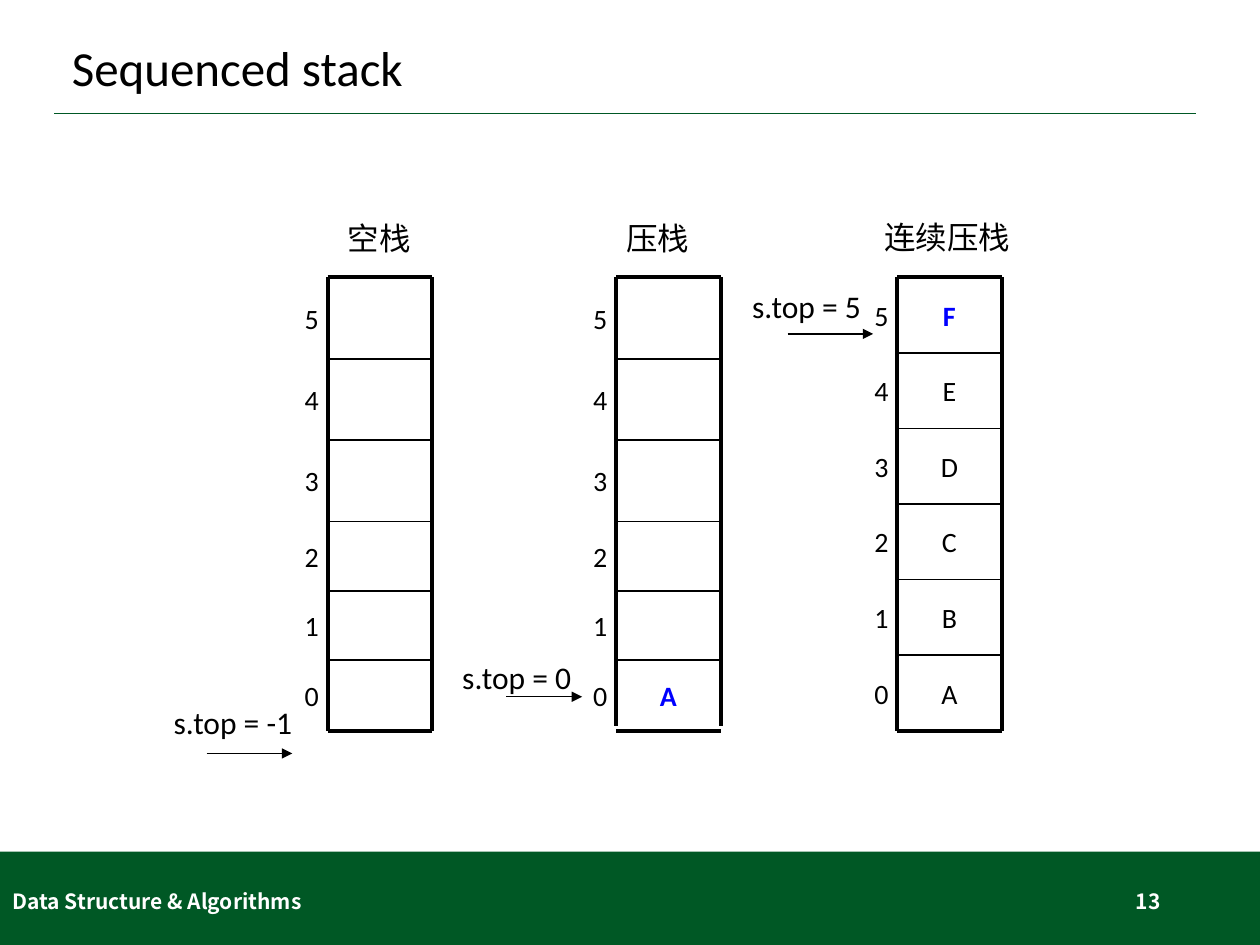
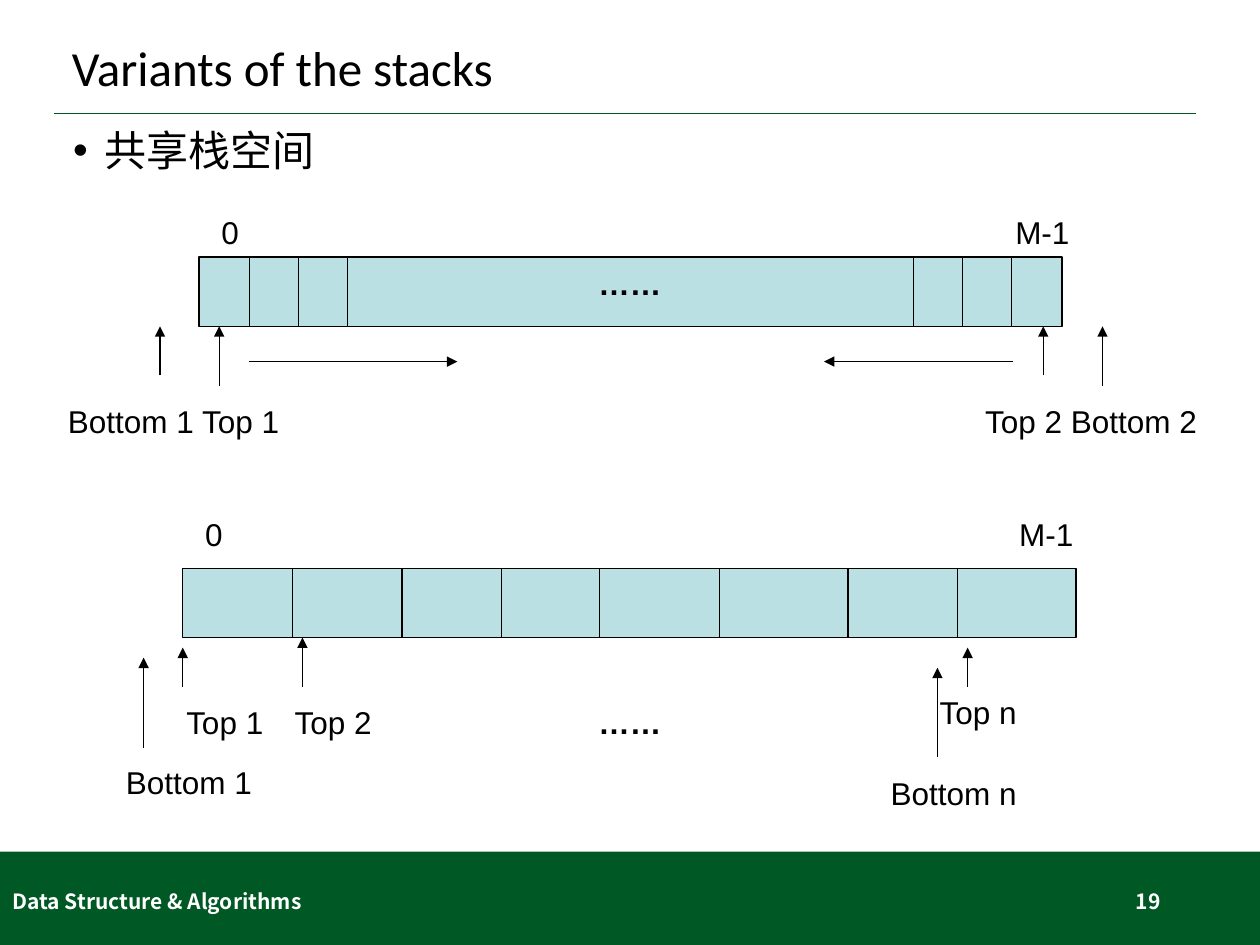
from dataclasses import dataclass
from itertools import pairwise

from lxml import etree
from pptx import Presentation
from pptx.dml.color import RGBColor
from pptx.enum import shapes, text
from pptx.oxml import ns
from pptx.util import Inches, Pt


@dataclass(frozen=True)
class Theme:
    green: str = "005825"
    cell: str = "BBE0E3"
    ink: str = "000000"
    white: str = "FFFFFF"
    pushed: str = "0000FF"
    main_font: str = "Calibri"
    array_font: str = "Arial"
    cjk_font: str = "Noto Sans CJK SC"
    title_size: float = 28
    body_size: float = 24
    label_size: float = 18
    cell_size: float = 16
    footer_size: float = 12
    wall: float = 2.25
    rule: float = 1
    thin: float = 0.75


THEME = Theme()
TITLE_ONLY, TITLE_AND_BODY = 5, 1


# Shared helpers
def add_child(parent, tag, **attributes):
    return etree.SubElement(parent, ns.qn(tag), **attributes)


def style_text(frame, size, font=THEME.main_font, color=THEME.ink, bold=False):
    for paragraph in frame.paragraphs:
        for run in paragraph.runs:
            run.font.size = Pt(size)
            run.font.name = font
            run.font.bold = bold
            run.font.color.rgb = RGBColor.from_string(color)
            if font == THEME.main_font:
                add_child(run.font._element if hasattr(run.font, "_element")
                          else run._r.get_or_add_rPr(), "a:ea", typeface=THEME.cjk_font)


def place(shape, left, top, width, height):
    shape.left, shape.top = Inches(left), Inches(top)
    shape.width, shape.height = Inches(width), Inches(height)


def add_label(slide, words, left, top, width, height=0.4, size=THEME.label_size,
              align=text.PP_ALIGN.LEFT, middle=False, wrap=True, **style):
    label = slide.shapes.add_textbox(
        Inches(left), Inches(top), Inches(width), Inches(height))
    frame = label.text_frame
    frame.text = words
    frame.word_wrap = wrap
    frame.auto_size = (text.MSO_AUTO_SIZE.NONE if middle
                       else text.MSO_AUTO_SIZE.SHAPE_TO_FIT_TEXT)
    frame.vertical_anchor = text.MSO_ANCHOR.MIDDLE if middle else text.MSO_ANCHOR.TOP
    frame.paragraphs[0].alignment = align
    style_text(frame, size, **style)


def add_line(slide, x1, y1, x2, y2, weight=THEME.thin, color=THEME.ink, arrow=False):
    line = slide.shapes.add_connector(
        shapes.MSO_CONNECTOR.STRAIGHT, Inches(x1), Inches(y1), Inches(x2), Inches(y2))
    line.line.width = Pt(weight)
    line.line.color.rgb = RGBColor.from_string(color)
    properties = line._element.spPr
    if arrow:
        add_child(properties.find(ns.qn("a:ln")), "a:tailEnd", type="triangle")
    add_child(properties, "a:effectLst")


def add_box(slide, left, top, width, height, fill, outline=None):
    box = slide.shapes.add_shape(
        shapes.MSO_SHAPE.RECTANGLE, Inches(left), Inches(top), Inches(width), Inches(height))
    box.shadow.inherit = False
    box.fill.solid()
    box.fill.fore_color.rgb = RGBColor.from_string(fill)
    if outline:
        box.line.width = Pt(THEME.thin)
        box.line.color.rgb = RGBColor.from_string(outline)
    else:
        box.line.fill.background()


# Title, rule and footer band on every slide
def add_base_slide(deck, layout, title, page):
    slide = deck.slides.add_slide(deck.slide_layouts[layout])
    add_box(slide, 0, 6.76, 10, 0.74, THEME.green)
    add_line(slide, 0.43, 0.9, 9.49, 0.9, THEME.rule, THEME.green)

    heading = slide.shapes.title
    place(heading, 0.47, 0.23, 9.06, 0.66)
    frame = heading.text_frame
    frame.text = title
    frame.auto_size = text.MSO_AUTO_SIZE.NONE
    frame.vertical_anchor = text.MSO_ANCHOR.MIDDLE
    frame.paragraphs[0].alignment = text.PP_ALIGN.LEFT
    frame.paragraphs[0].line_spacing = 0.9
    style_text(frame, THEME.title_size)

    footer = dict(top=6.95, size=THEME.footer_size, middle=True,
                  font=THEME.cjk_font, color=THEME.white, bold=True)
    add_label(slide, "Data Structure & Algorithms", left=0, width=3.38, **footer)
    add_label(slide, page, left=7.06, width=2.25, align=text.PP_ALIGN.RIGHT, **footer)
    return slide


def fill_body(slide, topic):
    body = slide.placeholders[1]
    place(body, 0.48, 0.98, 9.06, 5.54)
    frame = body.text_frame
    frame.text = topic
    frame.auto_size = text.MSO_AUTO_SIZE.NONE
    paragraph = frame.paragraphs[0]
    paragraph.line_spacing = 0.9
    paragraph.space_before = Pt(0)
    properties = paragraph._p.get_or_add_pPr()
    properties.set("marL", str(Inches(0.25)))
    properties.set("indent", str(Inches(-0.25)))
    add_child(properties, "a:buFont", typeface=THEME.array_font)
    add_child(properties, "a:buChar", char="•")
    style_text(frame, THEME.body_size)


# One vertical stack; offsets count from its top left corner
def draw_stack(slide, left, top, levels, items, caption, pointer, wall_end):
    width, index_width = 0.83, 0.28
    words, offset_x, offset_y, caption_width = caption
    add_label(slide, words, left + offset_x, top + offset_y, caption_width, wrap=False)

    cell = dict(size=THEME.cell_size, align=text.PP_ALIGN.CENTER, middle=True)
    last = len(levels) - 2
    for row, (upper, lower) in enumerate(pairwise(levels)):
        index = last - row
        span = dict(top=top + upper, height=lower - upper)
        add_label(slide, str(index), left - index_width, width=index_width, **span, **cell)
        if index < len(items):
            newest = index == len(items) - 1
            add_label(slide, items[index], left, width=width, **span, **cell,
                      color=THEME.pushed if newest else THEME.ink, bold=newest)

    for x in (left, left + width):
        add_line(slide, x, top, x, top + wall_end, THEME.wall)
    for level in levels:
        weight = THEME.wall if level in (levels[0], levels[-1]) else THEME.rule
        add_line(slide, left, top + level, left + width, top + level, weight)

    words, label_x, label_y, start, end, arrow_y = pointer
    add_line(slide, left + start, top + arrow_y, left + end, top + arrow_y, arrow=True)
    add_label(slide, words, left + label_x, top + label_y, 1.21)


# One horizontal array; offsets count from its top left corner
def draw_array(slide, left, top, width, dividers, labels, arrows):
    height = 0.55
    add_box(slide, left, top, width, height, THEME.cell, THEME.ink)
    for divider in dividers:
        add_line(slide, left + divider, top, left + divider, top + height)
    for words, x, y, label_width in labels:
        add_label(slide, words, left + x, top + y, label_width, wrap=False,
                  font=THEME.array_font, bold=words == "……")
    for x1, y1, x2, y2 in arrows:
        add_line(slide, left + x1, top + y1, left + x2, top + y2, arrow=True)


def upward(x, start, end):
    return x, start, x, end


def build_sequenced_stack(deck):
    slide = add_base_slide(deck, TITLE_ONLY, "Sequenced stack", "13")
    uneven = [0, 0.65, 1.29, 1.94, 2.49, 3.04, 3.6]
    even = [0.6 * row for row in range(7)]
    stacks = [
        (2.6, uneven, "", ("空栈", 0.06, -0.51, 0.71),
         ("s.top = -1", -1.32, 3.33, -0.96, -0.28, 3.78), 3.6),
        (4.89, uneven, "A", ("压栈", -0.02, -0.51, 0.71),
         ("s.top = 0", -1.32, 2.97, -0.87, -0.27, 3.33), 3.56),
        (7.12, even, "ABCDEF", ("连续压栈", -0.2, -0.52, 1.21),
         ("s.top = 5", -1.25, 0.03, -0.87, -0.19, 0.45), 3.6),
    ]
    for left, *parts in stacks:
        draw_stack(slide, left, 2.2, *parts)


def build_variants(deck):
    slide = add_base_slide(deck, TITLE_AND_BODY, "Variants of the stacks", "19")
    fill_body(slide, "共享栈空间")

    # Two stacks growing towards each other
    width = 6.85
    edge = [0.4, 0.79, 1.18]
    draw_array(
        slide, 1.58, 2.04, width, edge + [width - x for x in edge],
        labels=[("0", 0.08, -0.4, 0.34), ("M-1", 6.38, -0.4, 0.63),
                ("Bottom 1 Top 1", -1.14, 1.1, 1.89),
                ("Top 2 Bottom 2", 6.14, 1.1, 1.9), ("……", 3.07, 0.01, 0.7)],
        arrows=[upward(-0.31, 0.94, 0.55), upward(0.16, 1.02, 0.55),
                upward(6.7, 0.94, 0.55), upward(7.17, 1.02, 0.55),
                (0.4, 0.83, 2.05, 0.83), (6.46, 0.83, 4.96, 0.83)])

    # Many stacks in one space
    draw_array(
        slide, 1.45, 4.51, 7.09, [0.87, 1.74, 2.53, 3.31, 4.26, 5.28, 6.15],
        labels=[("0", 0.08, -0.47, 0.34), ("M-1", 6.54, -0.47, 0.63),
                ("Top 1", -0.07, 1.02, 0.82), ("Top 2", 0.79, 1.02, 0.82),
                ("Top n", 5.91, 0.94, 0.82), ("……", 3.2, 1.02, 0.7),
                ("Bottom 1", -0.55, 1.5, 1.21), ("Bottom n", 5.52, 1.58, 1.21)],
        arrows=[upward(0, 0.94, 0.63), upward(0.95, 0.94, 0.55),
                upward(6.23, 0.94, 0.63), upward(-0.31, 1.43, 0.71),
                upward(5.99, 1.5, 0.79)])


def main():
    deck = Presentation()
    deck.slide_width, deck.slide_height = Inches(10), Inches(7.5)
    build_sequenced_stack(deck)
    build_variants(deck)
    deck.save("out.pptx")


if __name__ == "__main__":
    main()
